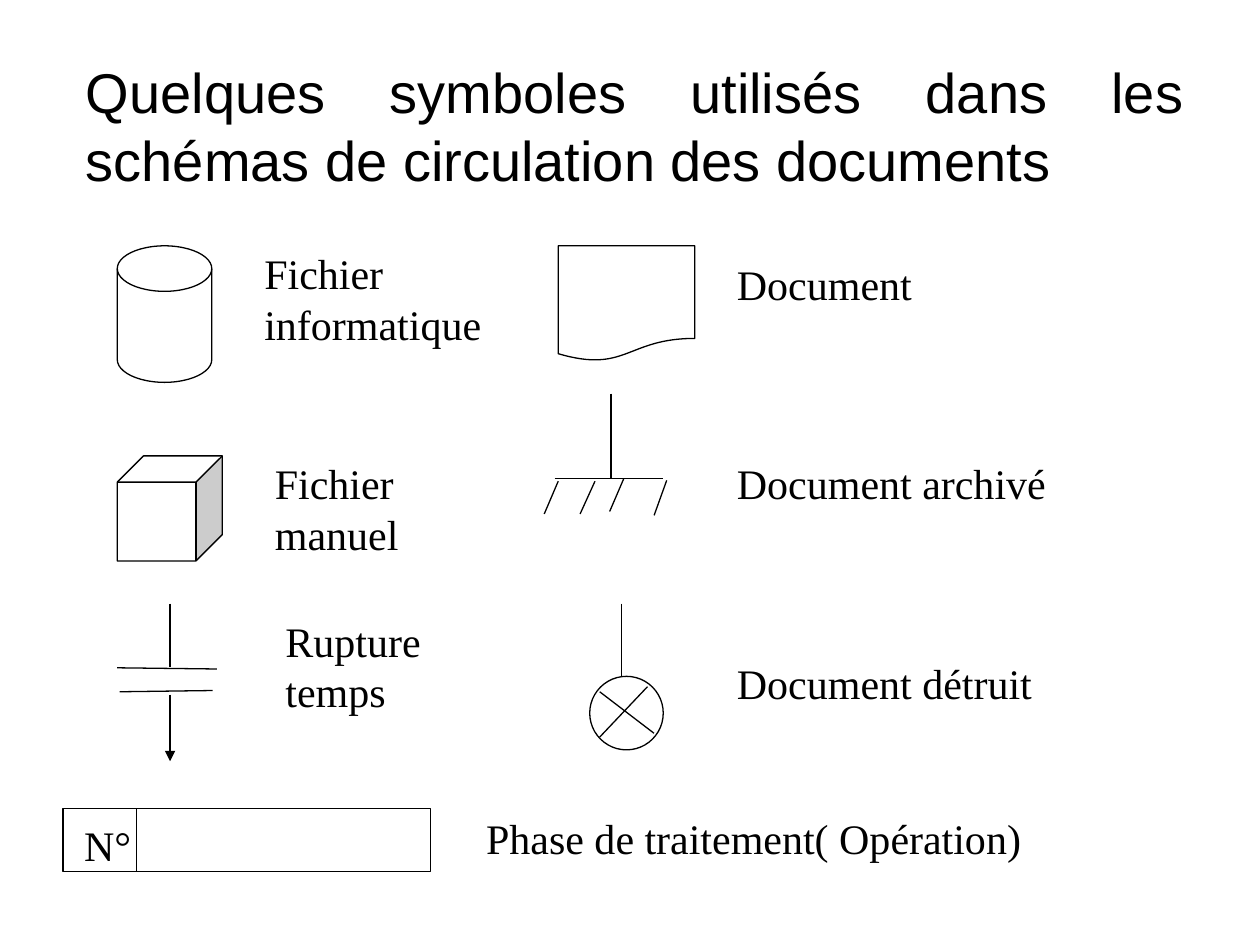
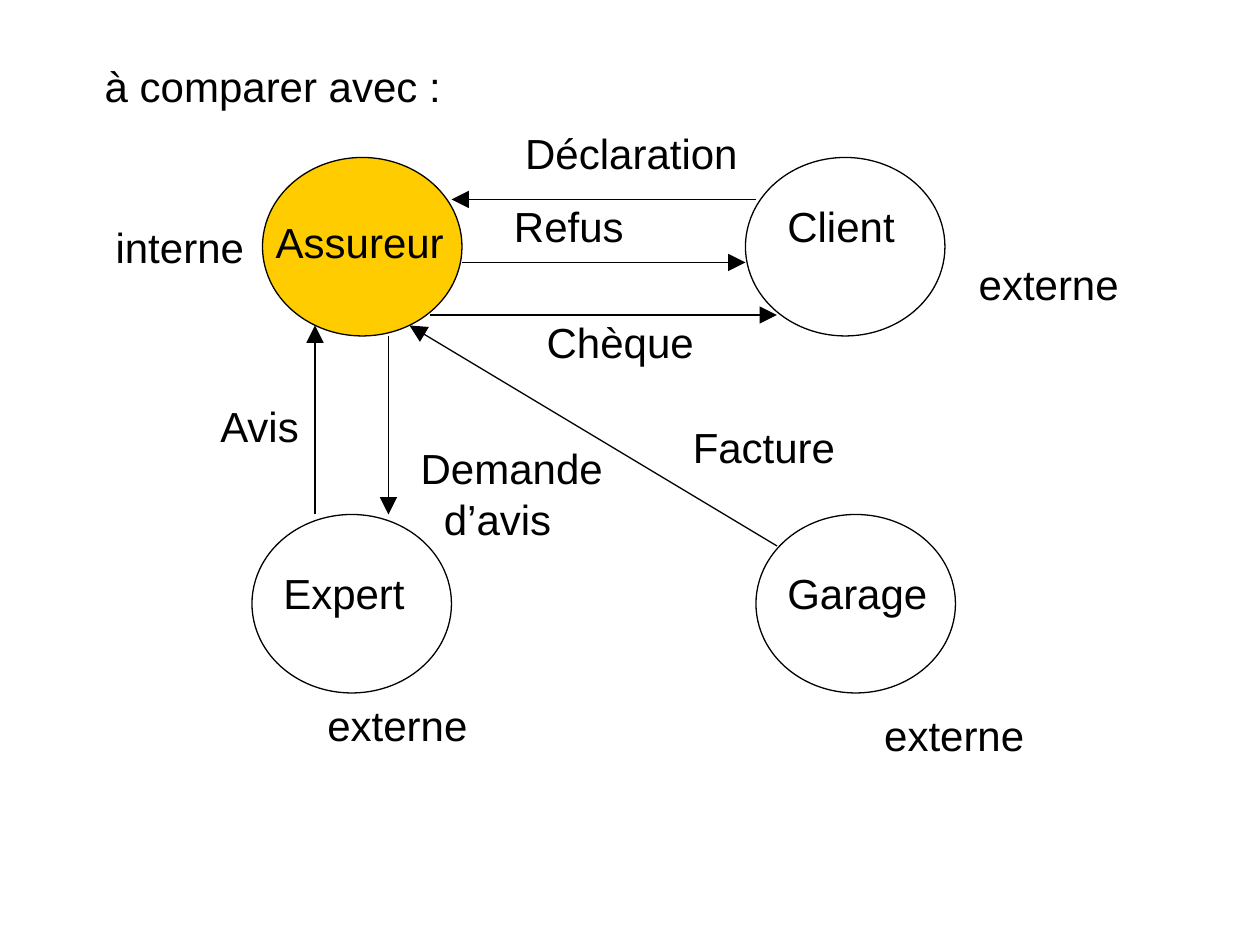
from dataclasses import dataclass

from lxml import etree
from pptx import Presentation
from pptx.dml.color import RGBColor
from pptx.enum import shapes, text
from pptx.oxml import ns
from pptx.util import Pt


@dataclass(frozen=True)
class Theme:
    ink: RGBColor = RGBColor(0, 0, 0)
    paper: RGBColor = RGBColor(255, 255, 255)
    internal: RGBColor = RGBColor(0xFF, 0xCC, 0x00)
    sans: str = "Arial"
    serif: str = "Times New Roman"
    title_size: int = 32
    body_size: int = 24
    stroke: float = 0.75
    line_height: float = 28.8


THEME = Theme()
MSO = shapes.MSO_SHAPE
ACTOR_SIZE = (114, 102)


def format_text(tf, font, size, align=text.PP_ALIGN.LEFT):
    tf.word_wrap = True
    tf.auto_size = text.MSO_AUTO_SIZE.NONE
    tf.vertical_anchor = text.MSO_ANCHOR.TOP
    tf.margin_left = tf.margin_right = Pt(7.2)
    tf.margin_top = tf.margin_bottom = Pt(3.6)
    for p in tf.paragraphs:
        p.alignment = align
        for r in p.runs:
            r.font.name = font
            r.font.size = Pt(size)
            r.font.color.rgb = THEME.ink


def add_titled_slide(prs, title, box, size, align):
    s = prs.slides.add_slide(prs.slide_layouts[5])
    sp = s.shapes.title
    sp.left, sp.top, sp.width, sp.height = map(Pt, box)
    sp.text_frame.text = title
    format_text(sp.text_frame, THEME.sans, size, align)
    return s


def add_label(s, label, left, top, width, font=THEME.sans):
    lines = label.count("\n") + 1
    height = lines * THEME.line_height + 7.2
    sp = s.shapes.add_textbox(Pt(left), Pt(top), Pt(width), Pt(height))
    tf = sp.text_frame
    tf.text = label
    format_text(tf, font, THEME.body_size)
    return tf


def add_outline(s, kind, left, top, width, height, fill=THEME.paper):
    sp = s.shapes.add_shape(kind, Pt(left), Pt(top), Pt(width), Pt(height))
    sp.shadow.inherit = False
    sp.fill.solid()
    sp.fill.fore_color.rgb = fill
    sp.line.color.rgb = THEME.ink
    sp.line.width = Pt(THEME.stroke)
    return sp


def add_line(s, x1, y1, x2, y2, head=None):
    c = s.shapes.add_connector(shapes.MSO_CONNECTOR.STRAIGHT, *map(Pt, (x1, y1, x2, y2)))
    c.line.color.rgb = THEME.ink
    c.line.width = Pt(THEME.stroke)
    if head:
        etree.SubElement(c.line._get_or_add_ln(), ns.qn("a:tailEnd"),
                         type="triangle", w=head, len=head)
    etree.SubElement(c._element.spPr, ns.qn("a:effectLst"))


def add_time_break(s):
    axis = 97.2
    add_line(s, 67, 381.6, 124, 382.3)
    add_line(s, 68.4, 395.3, 121.5, 394.6)
    add_line(s, axis, 345, axis, 381)
    add_line(s, axis, 397, axis, 435, head="med")


def add_archive(s):
    add_line(s, 349.2, 225, 349.2, 273)
    add_line(s, 317, 273.6, 379, 273.6)
    for x, y, dx, dy in ((319, 275, -8, 18.7), (340, 275, -8.5, 18.7),
                         (356.4, 273.6, -8, 18.7), (381, 274.5, -7.2, 20)):
        add_line(s, x, y, x + dx, y + dy)


def add_destruction(s):
    add_outline(s, MSO.OVAL, 337, 386.5, 42, 42)
    add_line(s, 370, 392.4, 342.7, 421.2)
    add_line(s, 342.7, 395.3, 373.7, 419)
    add_line(s, 355, 345, 355, 386.5)


def add_phase(s):
    add_outline(s, MSO.RECTANGLE, 36, 462, 210, 36)
    add_line(s, 78, 462, 78, 498)
    add_label(s, "N°", 41, 465, 46, THEME.serif)


def build_symbols(prs):
    s = add_titled_slide(
        prs, "Quelques symboles utilisés dans les schémas de circulation des documents",
        (41.8, 29.5, 642.2, 84.2), THEME.title_size, text.PP_ALIGN.JUSTIFY)
    add_outline(s, MSO.FLOWCHART_MAGNETIC_DISK, 67, 140.5, 54, 78)
    add_outline(s, MSO.CUBE, 67, 260.5, 60, 60)
    add_outline(s, MSO.FLOWCHART_DOCUMENT, 319, 140.5, 78, 66)
    add_time_break(s)
    add_archive(s)
    add_destruction(s)
    add_phase(s)
    for label, left, top, width in (
        ("Fichier\ninformatique", 144, 138, 144),
        ("Fichier\nmanuel", 150, 258, 92),
        ("Rupture\ntemps", 156, 348, 98),
        ("Document", 414, 144, 120),
        ("Document archivé", 414, 258, 198),
        ("Document détruit", 414, 372, 190),
        ("Phase de traitement( Opération)", 270.7, 460.8, 345),
    ):
        add_label(s, label, left, top, width, THEME.serif)


def build_flows(prs):
    s = add_titled_slide(prs, "à comparer avec :", (52.6, 31, 214, 36),
                         THEME.body_size, text.PP_ALIGN.LEFT)
    add_outline(s, MSO.OVAL, 150, 90, *ACTOR_SIZE, fill=THEME.internal)
    add_outline(s, MSO.OVAL, 426, 90, *ACTOR_SIZE)
    add_outline(s, MSO.OVAL, 144, 294, *ACTOR_SIZE)
    add_outline(s, MSO.OVAL, 432, 294, *ACTOR_SIZE)
    for flow in (
        (432, 114, 258, 114),
        (264, 150, 426, 150),
        (246, 180, 444, 180),
        (180, 294, 180, 186),
        (222, 192, 222, 294),
        (444, 312, 234, 186),
    ):
        add_line(s, *flow, head="lg")
    for label, left, top, width in (
        ("Assureur", 150.5, 120.2, 116),
        ("Client", 442.8, 111, 82),
        ("Expert", 154.8, 321, 90),
        ("Garage", 442.8, 321, 100),
        ("Déclaration", 293, 69.5, 142),
        ("Refus", 286.6, 111, 83),
        ("Chèque", 305.3, 177.5, 105),
        ("Facture", 388.8, 237.5, 102),
        ("Avis", 118.8, 225.4, 66),
        ("interne", 59, 123, 94),
        ("externe", 552.2, 144, 100),
        ("externe", 498.2, 402, 100),
        ("externe", 180, 396, 100),
    ):
        add_label(s, label, left, top, width)
    tf = add_label(s, "Demande\nd’avis", 233.3, 249.5, 125)
    tf.paragraphs[1]._p.get_or_add_pPr().set("marL", str(Pt(13.3)))


def main():
    prs = Presentation()
    prs.slide_width, prs.slide_height = Pt(720), Pt(540)
    build_symbols(prs)
    build_flows(prs)
    prs.save("out.pptx")


if __name__ == "__main__":
    main()
